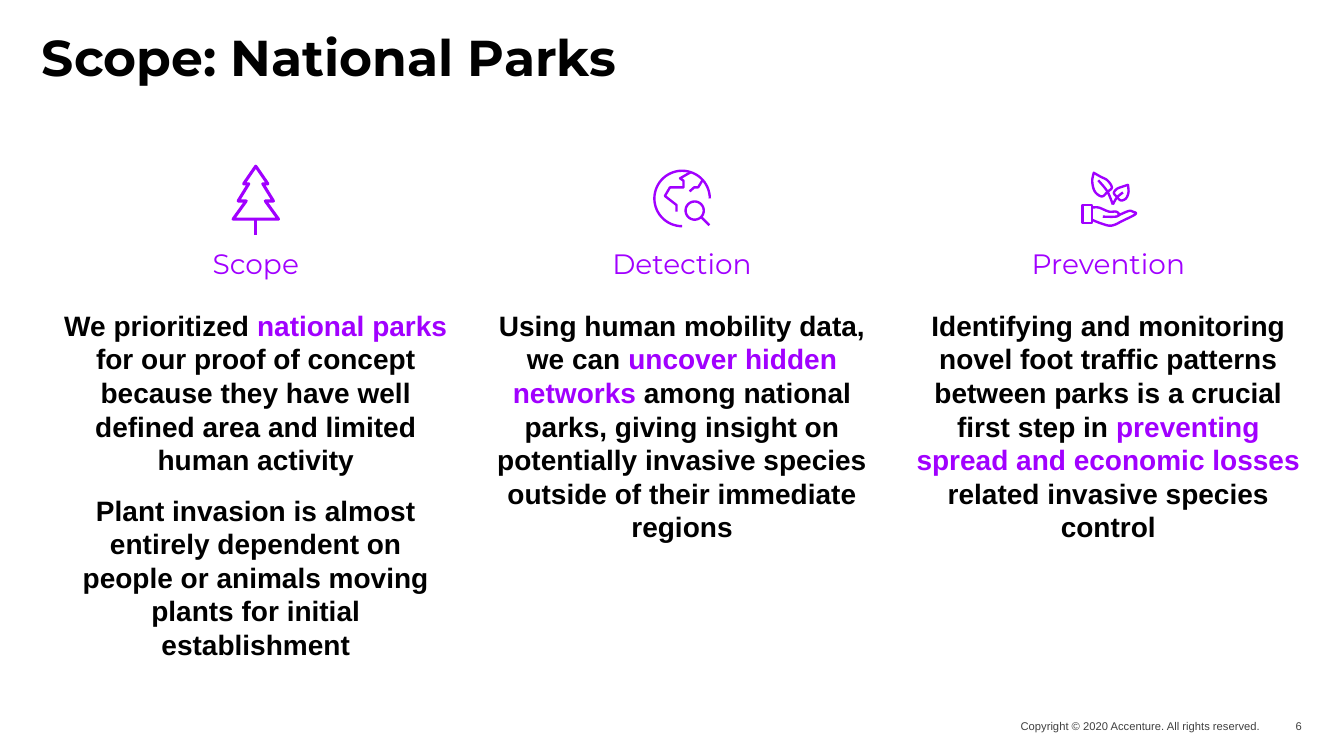
"""Build the national parks scope slide with three icon columns."""
from dataclasses import dataclass
from math import cos, radians, sin

from lxml import etree
from pptx import Presentation, util as u
from pptx.dml.color import RGBColor
from pptx.enum import text
from pptx.oxml.ns import qn

BLACK = RGBColor(0x00, 0x00, 0x00)
GREY = RGBColor(0x40, 0x40, 0x40)
PURPLE = RGBColor(0xA1, 0x00, 0xFF)
WIDTH, HEIGHT = u.Inches(13.33), u.Inches(7.5)
COLUMNS, ROWS = 32, 18
FIRST_COLUMN, COLUMN_PITCH, COLUMN_WIDTH = 1.49, 10.15, 9.2
ICON_ROW, HEADING_ROW, BODY_ROW = 3.91, 5.86, 7.34
HEADING_WIDTH = 6.5
ICON_UNIT = u.Inches(0.01)

Point = tuple[float, float]


@dataclass(frozen=True)
class Span:
    """A stretch of text in one colour."""
    words: str
    color: RGBColor = BLACK


@dataclass(frozen=True)
class Style:
    """The look of a paragraph."""
    face: str
    size: float
    color: RGBColor = BLACK
    bold: bool = False
    align: text.PP_ALIGN = text.PP_ALIGN.CENTER
    after: float = 12
    spacing: float = 1.0


@dataclass(frozen=True)
class Stroke:
    """One line of an icon, in icon units from its top centre."""
    points: list[Point]
    closed: bool = False


@dataclass(frozen=True)
class Topic:
    """A column with icon, heading and paragraphs."""
    heading: str
    icon: list[Stroke]
    paragraphs: list[list[Span]]
    stroke_width: float = 1.7


TITLE = Style("Montserrat", 36, bold=True, align=text.PP_ALIGN.LEFT, after=0, spacing=0.8)
HEADING = Style("Montserrat", 20, PURPLE)
BODY = Style("Arial", 20, bold=True)
FOOTER = Style("Arial", 8, GREY, align=text.PP_ALIGN.RIGHT)


def across(columns: float) -> int:
    """Turn grid columns into a length."""
    return round(WIDTH * columns / COLUMNS)


def down(rows: float) -> int:
    """Turn grid rows into a length."""
    return round(HEIGHT * rows / ROWS)


def arc(x: float, y: float, radius: float, start: int, end: int) -> list[Point]:
    """Return points along a circle, with angles in degrees."""
    return [(x + radius * cos(radians(a)), y + radius * sin(radians(a)))
            for a in range(start, end + 1, 6)]


def curve(*knots: Point) -> list[Point]:
    """Return points on a smooth line through the knots."""
    padded = [knots[0], *knots, knots[-1]]
    points = []
    for a, b, c, d in zip(padded, padded[1:], padded[2:], padded[3:]):
        for step in range(6):
            t = step / 6
            points.append(tuple(
                q + t * ((r - p) + t * ((2 * p - 5 * q + 4 * r - s)
                                        + t * (3 * q - p - 3 * r + s))) / 2
                for p, q, r, s in zip(a, b, c, d)))
    return points + [knots[-1]]


TREE = [
    Stroke([(0, 2), (12, 19.5), (7, 19.5), (17.5, 36.5), (9.5, 36.5), (22.5, 54.5),
            (-22.5, 54.5), (-9.5, 36.5), (-17.5, 36.5), (-7, 19.5), (-12, 19.5)], True),
    Stroke([(0, 54.5), (0, 70)]),
]
GLOBE = [
    Stroke(arc(0, 34, 27.5, 90, 360)),
    Stroke(arc(12.5, 46, 9, 0, 354), True),
    Stroke([(19, 52.5), (27, 60.5)]),
    Stroke([(8.5, 8), (-2, 14), (1.5, 16.5), (1.5, 23), (-12, 23), (-17, 31.5),
            (-5.5, 40.5), (-5.5, 47)]),
    Stroke([(7.5, 27), (12, 23), (16, 23), (20.5, 15.5)]),
]
PLANT = [
    Stroke(curve((-14.5, 8.5), (-16, 17), (-13.5, 27), (-6.5, 32), (-1, 27.5), (3.5, 23),
                 (-1, 16), (-7.5, 12.5), (-14.5, 8.5))),
    Stroke(curve((19.5, 20.5), (20, 28), (17.5, 34), (12.5, 36), (8.5, 32.5), (5.5, 28.5),
                 (8.5, 24.5), (13.5, 22.5), (19.5, 20.5))),
    Stroke(curve((-10, 16), (-1, 27), (4.5, 40))),
    Stroke(curve((4.5, 40), (8.5, 33), (14.5, 28))),
    Stroke([(-25.5, 40.5), (-16.5, 40.5), (-16.5, 58.5), (-25.5, 58.5)], True),
    Stroke(curve((-16.5, 55), (-8, 58.5), (3, 61), (14.5, 56), (27, 49.5), (24, 47),
                 (20, 46.5), (9.5, 51))),
    Stroke(curve((-16.5, 43), (-9.5, 43), (0.5, 47), (7.5, 47), (10.5, 49.5), (7.5, 52),
                 (-5.5, 52))),
]
TOPICS = [
    Topic("Scope", TREE, [
        [Span("We prioritized "), Span("national parks ", PURPLE),
         Span("for our proof of concept because they have well defined area and limited "
              "human activity")],
        [Span("Plant invasion is almost entirely dependent on people or animals moving "
              "plants for initial establishment")],
    ], 2.2),
    Topic("Detection", GLOBE, [
        [Span("Using human mobility data, we can "), Span("uncover hidden networks ", PURPLE),
         Span("among national parks, giving insight on potentially invasive species "
              "outside of their immediate regions")],
    ]),
    Topic("Prevention", PLANT, [
        [Span("Identifying and monitoring novel foot traffic patterns between parks is a "
              "crucial first step in "),
         Span("preventing spread and economic losses ", PURPLE),
         Span("related invasive species control")],
    ]),
]


def write(box, paragraphs: list[list[Span]], style: Style, anchor=text.MSO_ANCHOR.TOP) -> None:
    """Fill a box with styled paragraphs."""
    frame = box.text_frame
    frame.word_wrap = True
    frame.auto_size = text.MSO_AUTO_SIZE.NONE
    frame.vertical_anchor = anchor
    frame.margin_left = frame.margin_right = frame.margin_top = frame.margin_bottom = 0
    for index, spans in enumerate(paragraphs):
        para = frame.add_paragraph() if index else frame.paragraphs[0]
        para.alignment = style.align
        para.line_spacing = style.spacing
        para.space_before, para.space_after = u.Pt(0), u.Pt(style.after)
        properties = para._p.get_or_add_pPr()
        properties.set("marL", "0")
        properties.set("indent", "0")
        etree.SubElement(properties, qn("a:buNone"))
        para.font.name, para.font.size = style.face, u.Pt(style.size)
        para.font.bold, para.font.color.rgb = style.bold, style.color
        for span in spans:
            run = para.add_run()
            run.text = span.words
            if span.color != BLACK:
                run.font.color.rgb = span.color


def place(box, column: float, row: float, columns: float, rows: float):
    """Move a box to a grid position."""
    box.left, box.top = across(column), down(row)
    box.width, box.height = across(columns), down(rows)
    return box


def text_box(page, column: float, row: float, columns: float, rows: float):
    """Add an empty text box on the grid."""
    return place(page.shapes.add_textbox(0, 0, 0, 0), column, row, columns, rows)


def draw_icon(page, topic: Topic, column: float) -> None:
    """Draw the strokes of a topic's icon around a centre column."""
    for stroke in topic.icon:
        points = [(across(column) + x * ICON_UNIT, down(ICON_ROW) + y * ICON_UNIT)
                  for x, y in stroke.points]
        builder = page.shapes.build_freeform(*points[0])
        builder.add_line_segments(points[1:], close=stroke.closed)
        shape = builder.convert_to_shape()
        shape.shadow.inherit = False
        shape.fill.background()
        shape.line.color.rgb = PURPLE
        shape.line.width = u.Pt(topic.stroke_width)


def main() -> None:
    """Build and save the deck."""
    deck = Presentation()
    deck.slide_width, deck.slide_height = WIDTH, HEIGHT
    page = deck.slides.add_slide(deck.slide_layouts[1])
    write(place(page.shapes.title, 1, 0.91, 30, 2.59), [[Span("Scope: National Parks")]], TITLE)
    for index, topic in enumerate(TOPICS):
        left = FIRST_COLUMN + index * COLUMN_PITCH
        center = left + COLUMN_WIDTH / 2
        area = (left, BODY_ROW, COLUMN_WIDTH, 9.2)
        body = text_box(page, *area) if index else place(page.placeholders[1], *area)
        write(body, topic.paragraphs, BODY)
        heading = text_box(page, center - HEADING_WIDTH / 2, HEADING_ROW, HEADING_WIDTH, 0.75)
        write(heading, [[Span(topic.heading)]], HEADING)
        draw_icon(page, topic, center)
    for words, column, columns in (("Copyright © 2020 Accenture. All rights reserved.", 21.85, 8.16),
                                   ("6", 30, 1)):
        write(text_box(page, column, 17.02, columns, 0.54), [[Span(words)]], FOOTER,
              text.MSO_ANCHOR.MIDDLE)
    deck.save("out.pptx")


if __name__ == "__main__":
    main()
